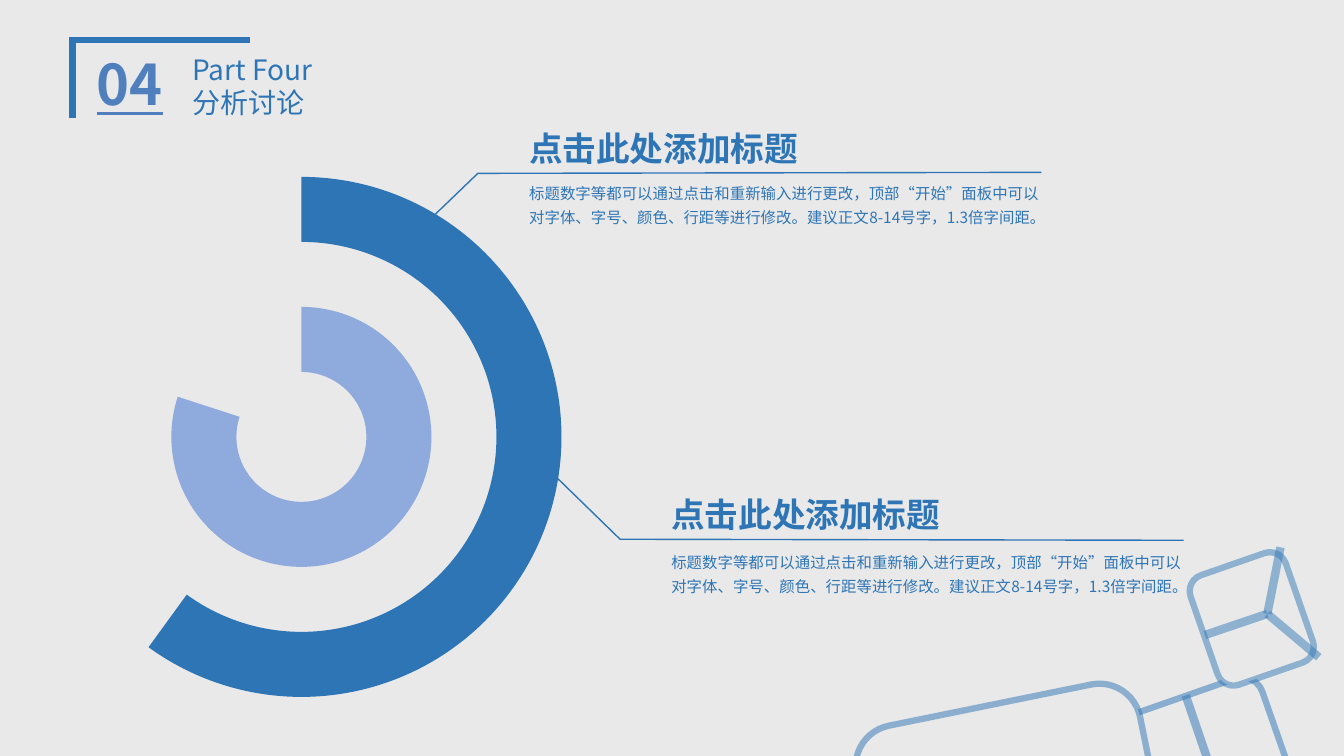
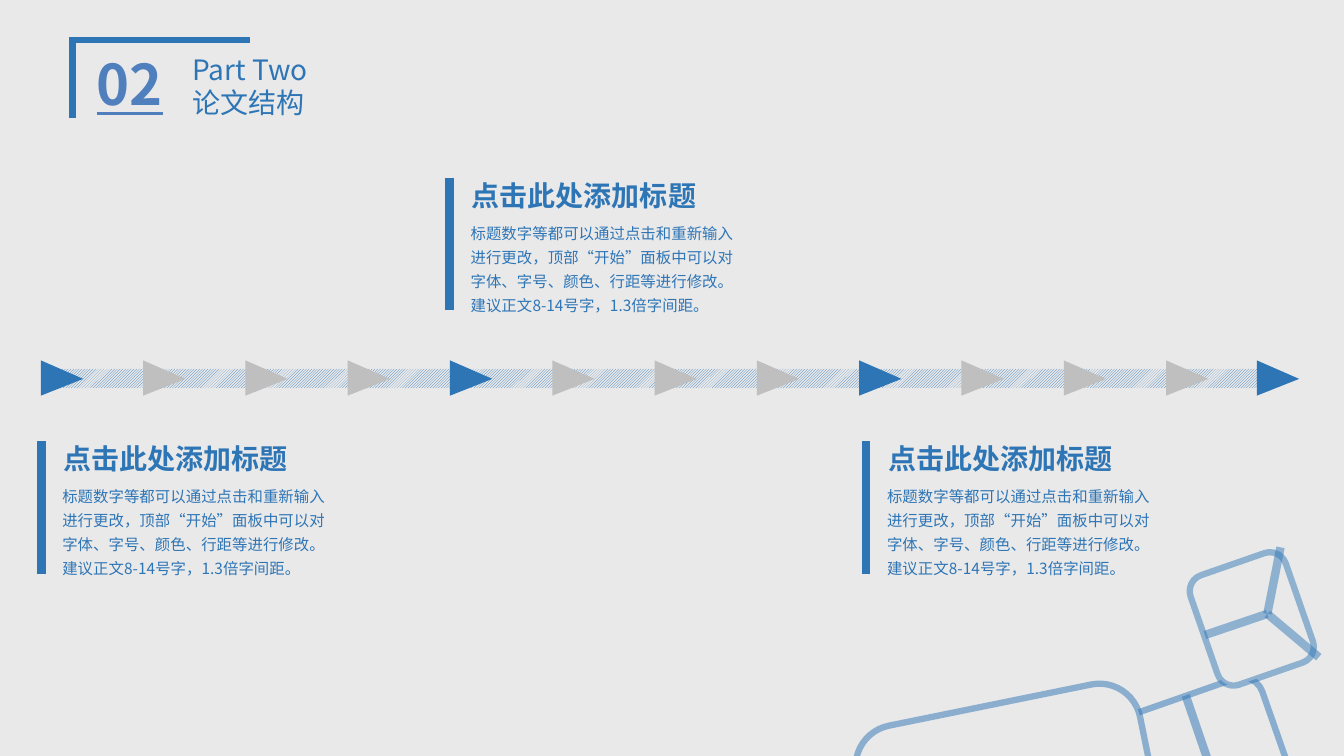
from dataclasses import dataclass

from pptx import Presentation
from pptx.chart.data import CategoryChartData
from pptx.dml.color import RGBColor
from pptx.enum.chart import XL_CHART_TYPE
from pptx.enum.dml import MSO_PATTERN
from pptx.enum.shapes import MSO_CONNECTOR, MSO_SHAPE
from pptx.enum.text import MSO_AUTO_SIZE
from pptx.oxml import parse_xml
from pptx.oxml.ns import nsdecls, qn
from pptx.util import Inches, Pt

RING = XL_CHART_TYPE.DOUGHNUT
STRIPE = MSO_PATTERN.LIGHT_UPWARD_DIAGONAL
STRAIGHT = MSO_CONNECTOR.STRAIGHT
RECT, ROUND = MSO_SHAPE.RECTANGLE, MSO_SHAPE.ROUNDED_RECTANGLE
ARROW = MSO_SHAPE.ISOSCELES_TRIANGLE
GROW = MSO_AUTO_SIZE.SHAPE_TO_FIT_TEXT


@dataclass(frozen=True)
class Theme:
    font: str = "Noto Sans CJK SC"
    back: RGBColor = RGBColor(0xE9, 0xE9, 0xE9)
    blue: RGBColor = RGBColor(0x2E, 0x75, 0xB6)
    mark: RGBColor = RGBColor(0x4F, 0x7F, 0xBD)
    pale: RGBColor = RGBColor(0x8F, 0xAA, 0xDC)
    gray: RGBColor = RGBColor(0xBF, 0xBF, 0xBF)
    black: RGBColor = RGBColor(0, 0, 0)
    number: int = 40
    large: int = 24
    title: int = 20
    body: int = 11
    chart: int = 10


T = Theme()
NUMBER = {"size": Pt(T.number), "bold": True, "underline": True}
TITLE = {"size": Pt(T.title)}
LARGE = {"size": Pt(T.large), "bold": True}
HEAD = {"size": Pt(T.title), "bold": True}
BODY = {"size": Pt(T.body)}

HINT = "点击此处添加标题"
NOTE = ("标题数字等都可以通过点击和重新输入进行更改，顶部“开始”面板中可以"
        "对字体、字号、颜色、行距等进行修改。建议正文8-14号字，1.3倍字间距。")


# Basic elements
def add_text(slide, box, lines, style, color=T.blue, space=None):
    frame = slide.shapes.add_textbox(*map(Inches, box)).text_frame
    frame.word_wrap = True
    frame.auto_size = GROW
    for i, line in enumerate(lines):
        para = frame.add_paragraph() if i else frame.paragraphs[0]
        para.line_spacing = space
        run = para.add_run()
        run.text = line
        for key, value in {"name": T.font, **style}.items():
            setattr(run.font, key, value)
        run.font.color.rgb = color
        east = parse_xml(f'<a:ea {nsdecls("a")} typeface="{T.font}"/>')
        run.font._element.find(qn("a:latin")).addnext(east)


def set_line(line, width, alpha=None):
    line.width = Pt(width)
    line.color.rgb = T.blue
    if alpha:
        tint = line._ln.find(".//" + qn("a:srgbClr"))
        tint.append(parse_xml(f'<a:alpha {nsdecls("a")} val="{alpha * 1000}"/>'))


def add_line(slide, start, end, alpha=None):
    line = slide.shapes.add_connector(STRAIGHT, *map(Inches, start + end))
    set_line(line.line, 6, alpha)
    line._element.spPr.append(parse_xml(f'<a:effectLst {nsdecls("a")}/>'))


def add_path(slide, points, width):
    first, *rest = [tuple(map(Inches, p)) for p in points]
    draft = slide.shapes.build_freeform(*first, scale=1.0)
    draft.add_line_segments(rest, close=False)
    path = draft.convert_to_shape()
    path.shadow.inherit = False
    path.fill.background()
    set_line(path.line, width)
    path.line._ln.append(parse_xml(f'<a:miter {nsdecls("a")} lim="800000"/>'))


def add_shape(slide, kind, box, color=None, turn=0):
    shape = slide.shapes.add_shape(kind, *map(Inches, box))
    shape.shadow.inherit = False
    shape.rotation = turn
    shape.line.fill.background()
    if color is not None:
        shape.fill.solid()
        shape.fill.fore_color.rgb = color
    return shape


# Shared frame: corner bracket, cubes and section title
def add_cube(slide, box, turn, alpha, spokes=()):
    cube = add_shape(slide, ROUND, box, T.back, turn)
    set_line(cube.line, 4.5, alpha)
    for start, end in spokes:
        add_line(slide, start, end, alpha)


def add_page(deck, number, lines):
    slide = deck.slides.add_slide(deck.slide_layouts[6])
    add_path(slide, [(0.72, 1.17), (0.72, 0.4), (2.48, 0.4)], 4.5)
    add_cube(slide, (11.23, 6.87, 1.47, 1.26), 340.7, 51,
             [((11.76, 6.9), (12.03, 7.69))])
    add_cube(slide, (8.63, 6.97, 2.87, 2.47), 168.5, 49)
    hub = (12.57, 6.09)
    tips = [(11.95, 6.3), (13.08, 6.52), (12.7, 5.43)]
    add_cube(slide, (11.84, 5.64, 1.15, 1), 250.8, 48,
             [(tip, hub) for tip in tips])
    add_text(slide, (0.86, 0.44, 0.95, 0.77), [number], NUMBER, T.mark)
    add_text(slide, (1.81, 0.47, 2.4, 0.77), lines, TITLE)
    return slide


# Ring chart with callouts
def add_rings(slide, box, rings):
    data = CategoryChartData()
    data.categories = ["1", "2"]
    for i, (share, _) in enumerate(rings, 1):
        data.add_series(f"Series {i}", (share, 100 - share))
    chart = slide.shapes.add_chart(RING, *map(Inches, box), data).chart
    chart.has_legend = chart.has_title = False
    chart.font.name, chart.font.size = T.font, Pt(T.chart)
    chart.font.color.rgb = T.black
    plot = chart.plots[0]
    plot.vary_by_categories = False
    for row, (_, color) in zip(plot.series, rings):
        for i, tint in enumerate((color, None)):
            part = row.points[i].format
            part.line.fill.background()
            if tint is None:
                part.fill.background()
            else:
                part.fill.solid()
                part.fill.fore_color.rgb = tint
    # Hole size and plot area
    root = chart._chartSpace
    root.find(".//" + qn("c:holeSize")).set("val", "79")
    area = root.find(".//" + qn("c:plotArea"))
    for old in area.findall(qn("c:layout")):
        area.remove(old)
    marks = {"layoutTarget": "inner", "xMode": "edge", "yMode": "edge",
             "x": 0, "y": 0.05, "w": 1, "h": 0.95}
    tags = "".join(f'<c:{k} val="{v}"/>' for k, v in marks.items())
    area.insert(0, parse_xml(f'<c:layout {nsdecls("c")}><c:manualLayout>{tags}'
                             "</c:manualLayout></c:layout>"))


def add_callout(slide, start, knee, rise, gap):
    x, y = knee
    add_path(slide, [start, knee, (x + 5.59, y + rise)], 1)
    add_text(slide, (x + 0.41, y - 0.5, 3.16, 0.5), [HINT], LARGE)
    add_text(slide, (x + 0.41, y + gap, 5.35, 0.58), [NOTE], BODY, space=1.3)


# Timeline with cards
def add_track(slide):
    band = add_shape(slide, RECT, (0.41, 3.66, 12.23, 0.19))
    band.fill.patterned()
    band.fill.pattern = STRIPE
    band.fill.fore_color.rgb = T.blue
    band.fill.back_color.rgb = T.back
    step = (11.6 - 0.44) / 11
    for i, x in enumerate([0.44 + step * n for n in range(12)] + [12.5]):
        color = T.gray if i % 4 else T.blue
        arrow = add_shape(slide, ARROW, (x, 3.54, 0.35, 0.42), color, 90)
        arrow.adjustments[0] = 0.525


def add_card(slide, x, y):
    add_line(slide, (x, y), (x, y + 1.31))
    add_text(slide, (x + 0.12, y - 0.05, 2.63, 0.44), [HINT], HEAD)
    add_text(slide, (x + 0.11, y + 0.35, 2.86, 1.06), [NOTE], BODY, space=1.3)


def main():
    deck = Presentation()
    deck.slide_width, deck.slide_height = Inches(13.33), Inches(7.5)
    back = deck.slide_master.background.fill
    back.solid()
    back.fore_color.rgb = T.back

    slide = add_page(deck, "04", ["Part Four", "分析讨论"])
    add_rings(slide, (0.41, 1.39, 5.16, 5.61),
              [(80, T.pale), (50, None), (60, T.blue)])
    add_callout(slide, (3.97, 2.46), (4.74, 1.72), -0.01, 0)
    add_callout(slide, (5.39, 4.61), (6.15, 5.35), 0.01, 0.03)

    slide = add_page(deck, "02", ["Part Two", "论文结构"])
    add_track(slide)
    for x, y in [(0.41, 4.38), (4.46, 1.77), (8.59, 4.38)]:
        add_card(slide, x, y)

    deck.save("out.pptx")


if __name__ == "__main__":
    main()
